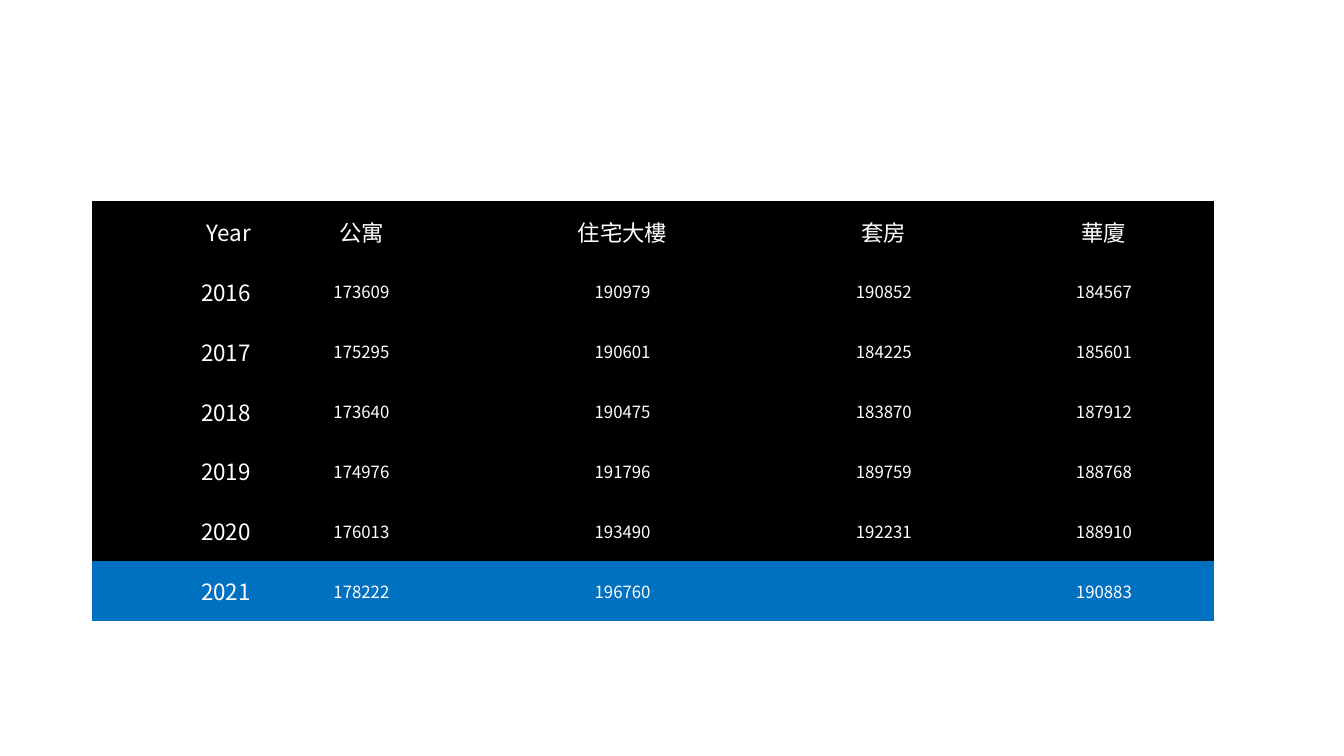
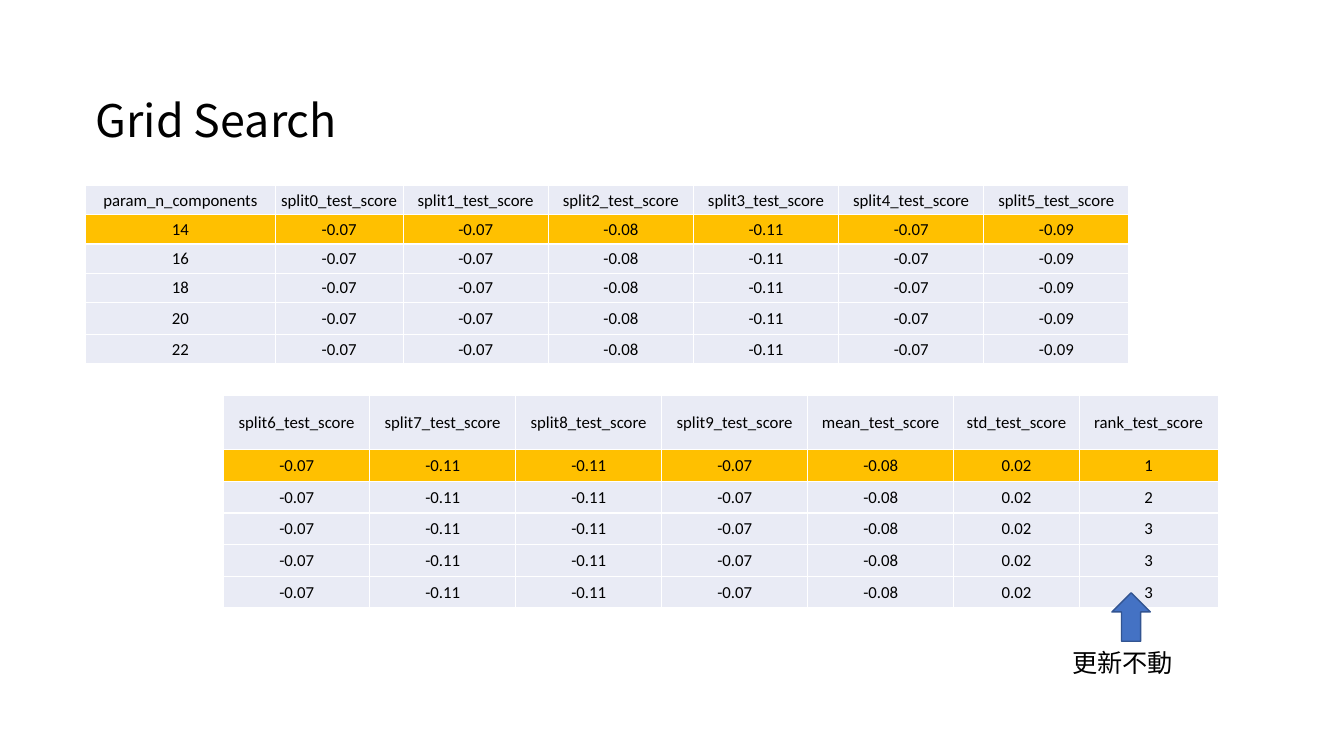
from lxml.etree import SubElement
from pptx import Presentation
from pptx.dml.color import RGBColor
from pptx.enum.shapes import MSO_SHAPE
from pptx.enum.text import MSO_ANCHOR, MSO_AUTO_SIZE, PP_ALIGN
from pptx.oxml.ns import qn
from pptx.util import Pt

BLACK = RGBColor(0x00, 0x00, 0x00)
WHITE = RGBColor(0xFF, 0xFF, 0xFF)
BLUE = RGBColor(0x00, 0x70, 0xC0)
PALE = RGBColor(0xE9, 0xEB, 0xF5)
GOLD = RGBColor(0xFF, 0xC0, 0x00)
ARROW_FILL = RGBColor(0x44, 0x72, 0xC4)
ARROW_LINE = RGBColor(0x32, 0x54, 0x91)
PLAIN_STYLE = "{2D5ABB26-0587-4C30-8999-92F81FD0307C}"


def style_text(paragraph, size, font, color, align=PP_ALIGN.LEFT):
    paragraph.alignment = align
    paragraph.font.size = Pt(size)
    paragraph.font.name = font
    paragraph.font.color.rgb = color
    defaults = paragraph._p.pPr.find(qn("a:defRPr"))
    SubElement(defaults, qn("a:ea"), typeface=font)


def add_grid(slide, left, top, widths, heights, rows, font, color, fill,
             marked_row, marked_fill, border=None, label_size=12, label_align=PP_ALIGN.CENTER):
    frame = slide.shapes.add_table(len(rows), len(widths), Pt(left), Pt(top),
                                   Pt(sum(widths)), Pt(sum(heights)))
    table = frame.table
    table.first_row = table.horz_banding = False
    table._tbl.tblPr.find(qn("a:tableStyleId")).text = PLAIN_STYLE
    for column, width in zip(table.columns, widths):
        column.width = Pt(width)
    for row, height in zip(table.rows, heights):
        row.height = Pt(height)
    for r, values in enumerate(rows):
        for c, value in enumerate(values):
            cell = table.cell(r, c)
            cell.margin_left = cell.margin_right = cell.margin_top = Pt(0.5)
            cell.margin_bottom = Pt(0)
            cell.vertical_anchor = MSO_ANCHOR.MIDDLE
            if border is not None:
                for side in ("a:lnL", "a:lnR", "a:lnT", "a:lnB"):
                    line = SubElement(cell._tc.get_or_add_tcPr(), qn(side), w=str(Pt(1)))
                    SubElement(SubElement(line, qn("a:solidFill")), qn("a:srgbClr"), val=str(border))
            cell.fill.solid()
            cell.fill.fore_color.rgb = marked_fill if r == marked_row else fill
            cell.text = value
            style_text(cell.text_frame.paragraphs[0],
                       label_size if r == 0 or c == 0 else 12, font, color,
                       label_align if c == 0 else PP_ALIGN.CENTER)


presentation = Presentation()
presentation.slide_width = Pt(960)
presentation.slide_height = Pt(540)
blank = presentation.slide_layouts[6]

prices_slide = presentation.slides.add_slide(blank)
prices = [
    ["Year", "公寓", "住宅大樓", "套房", "華廈"],
    ["2016", "173609", "190979", "190852", "184567"],
    ["2017", "175295", "190601", "184225", "185601"],
    ["2018", "173640", "190475", "183870", "187912"],
    ["2019", "174976", "191796", "189759", "188768"],
    ["2020", "176013", "193490", "192231", "188910"],
    ["2021", "178222", "196760", "", "190883"],
]
add_grid(prices_slide, 66, 143.8, [113.6, 157.2, 216, 157.2, 157.2], [42.8] * 7, prices,
         "Noto Sans CJK TC", WHITE, BLACK, 6, BLUE, label_size=16, label_align=PP_ALIGN.RIGHT)

search_slide = presentation.slides.add_slide(blank)
title = search_slide.shapes.add_textbox(Pt(61.2), Pt(62.6), Pt(196.6), Pt(46)).text_frame
title.word_wrap = False
title.auto_size = MSO_AUTO_SIZE.SHAPE_TO_FIT_TEXT
title.text = "Grid Search"
style_text(title.paragraphs[0], 32, "Noto Sans CJK SC", BLACK)

first_splits = [["param_n_components"] + [f"split{i}_test_score" for i in range(6)]]
for components in range(14, 23, 2):
    first_splits.append([str(components), "-0.07", "-0.07", "-0.08", "-0.11", "-0.07", "-0.09"])
last_splits = [[f"split{i}_test_score" for i in range(6, 10)]
               + ["mean_test_score", "std_test_score", "rank_test_score"]]
for rank in (1, 2, 3, 3, 3):
    last_splits.append(["-0.07", "-0.11", "-0.11", "-0.07", "-0.08", "0.02", str(rank)])

for left, top, widths, heights, scores in (
    (61.2, 132.5, [135.4, 91.4] + [103.7] * 5, [20.9] * 4 + [22.9, 20.9], first_splits),
    (159.8, 282.6, [104.3] * 5 + [89.7, 99.2], [38.6] + [22.6] * 5, last_splits),
):
    add_grid(search_slide, left, top, widths, heights, scores,
             "Calibri", BLACK, PALE, 1, GOLD, border=WHITE)

rank_arrow = search_slide.shapes.add_shape(MSO_SHAPE.UP_ARROW, Pt(794.2), Pt(423.4), Pt(27.4), Pt(34.6))
rank_arrow.shadow.inherit = False
rank_arrow.fill.solid()
rank_arrow.fill.fore_color.rgb = ARROW_FILL
rank_arrow.line.color.rgb = ARROW_LINE
rank_arrow.line.width = Pt(1)

rank_note = search_slide.shapes.add_textbox(Pt(758.9), Pt(458.6), Pt(97.9), Pt(29)).text_frame
rank_note.word_wrap = True
rank_note.auto_size = MSO_AUTO_SIZE.SHAPE_TO_FIT_TEXT
rank_note.text = "更新不動"
style_text(rank_note.paragraphs[0], 18, "Calibri", BLACK)

presentation.save("out.pptx")
